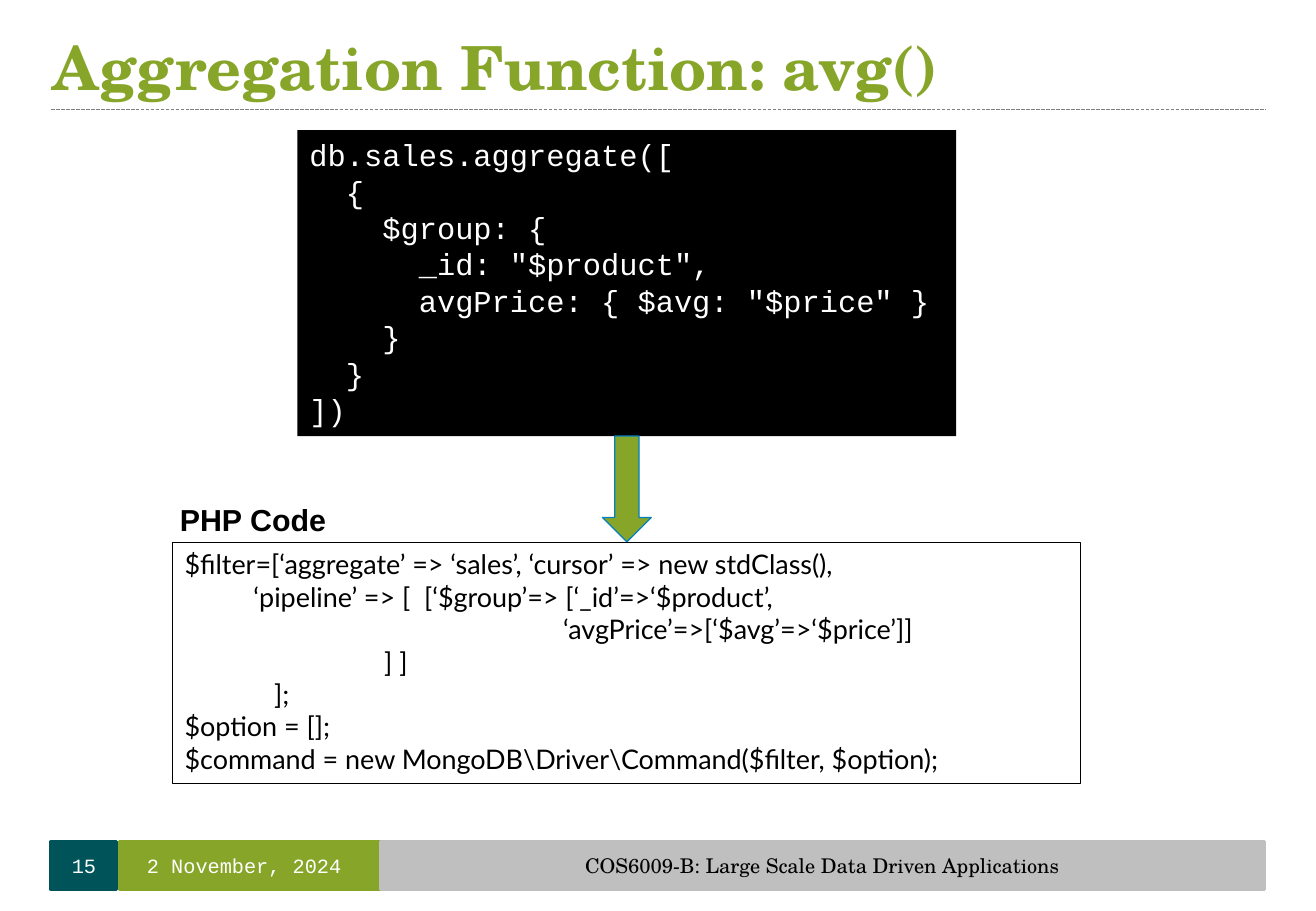
import pptx
import pptx.util
import pptx.dml.color
import pptx.enum.dml
import pptx.enum.shapes
import pptx.enum.text
import pptx.oxml

Cm, Pt = pptx.util.Cm, pptx.util.Pt
RGBColor = pptx.dml.color.RGBColor
MSO_SHAPE = pptx.enum.shapes.MSO_SHAPE
ANCHOR = pptx.enum.text.MSO_ANCHOR
ALIGN = pptx.enum.text.PP_ALIGN

BLACK = RGBColor(0x00, 0x00, 0x00)
WHITE = RGBColor(0xFF, 0xFF, 0xFF)
GREEN = RGBColor(0x87, 0xA5, 0x29)
TEAL = RGBColor(0x00, 0x53, 0x59)
SILVER = RGBColor(0xBF, 0xBF, 0xBF)
GREY = RGBColor(0x7F, 0x7F, 0x7F)
BLUE = RGBColor(0x00, 0x81, 0xBE)

SERIF, MONO, SANS, BODY = "TeX Gyre Schola", "Courier New", "Arial", "Lato"

TITLE = "Aggregation Function: avg()"
QUERY = """db.sales.aggregate([
  {
    $group: {
      _id: "$product",
      avgPrice: { $avg: "$price" }
    }
  }
])"""
PHP_LABEL = "PHP Code"
PHP_CODE = r"""$filter=[‘aggregate’ => ‘sales’, ‘cursor’ => new stdClass(),
          ‘pipeline’ => [  [‘$group’=> [‘_id’=>‘$product’,
                                                       ‘avgPrice’=>[‘$avg’=>‘$price’]]
                             ] ]
             ];
$option = [];
$command = new MongoDB\Driver\Command($filter, $option);"""
FOOTER = [
    ("15", 1.37, TEAL, MONO, WHITE, (0, 0)),
    ("2 November, 2024", 5.44, GREEN, MONO, WHITE, (0, 0.25)),
    ("COS6009-B: Large Scale Data Driven Applications", 18.49, SILVER, SERIF, BLACK, (0.3, 0.3)),
]

MARGIN = 1.07
FOOTER_TOP, FOOTER_HEIGHT = 17.6, 1
FOOTER_GAPS = (0.07, 0, 0)
QUERY_BOX = (6.22, 2.72, 13.77, 6.4)
PHP_BOX = (3.61, 11.33, 18.97, 5.05)
ARROW_WIDTH = 1.02

deck = pptx.Presentation()
deck.slide_width, deck.slide_height = Cm(27.51), Cm(19.05)
slide = deck.slides.add_slide(deck.slide_layouts[6])


def add_block(box, kind=MSO_SHAPE.RECTANGLE, fill=None, line=None, weight=1):
    block = slide.shapes.add_shape(kind, *map(Cm, box))
    block.shadow.inherit = False
    if fill is None:
        block.fill.background()
    else:
        block.fill.solid()
        block.fill.fore_color.rgb = fill
    if line is None:
        block.line.fill.background()
    else:
        block.line.color.rgb = line
        block.line.width = Pt(weight)
    return block


def write(text, *, host=None, box=None, font, size, color, bold=False,
          align=ALIGN.LEFT, anchor=ANCHOR.TOP, sides=(0.25, 0.25), ends=0.13):
    host = host or slide.shapes.add_textbox(*map(Cm, box))
    frame = host.text_frame
    frame.word_wrap = True
    frame.vertical_anchor = anchor
    frame.margin_left, frame.margin_right = map(Cm, sides)
    frame.margin_top = frame.margin_bottom = Cm(ends)
    frame.text = text
    for paragraph in frame.paragraphs:
        paragraph.alignment = align
        for run in paragraph.runs:
            run.font.name = font
            run.font.size = Pt(size)
            run.font.bold = bold
            run.font.color.rgb = color


left = MARGIN
for (text, width, fill, font, color, sides), gap in zip(FOOTER, FOOTER_GAPS):
    cell = add_block((left, FOOTER_TOP, width, FOOTER_HEIGHT), fill=fill, line=fill, weight=2)
    write(text, host=cell, font=font, size=12, color=color, align=ALIGN.CENTER,
          anchor=ANCHOR.MIDDLE, sides=sides, ends=0)
    left += width + gap

rule = slide.shapes.add_connector(
    pptx.enum.shapes.MSO_CONNECTOR.STRAIGHT, Cm(MARGIN), Cm(2.29), Cm(26.47), Cm(2.29))
rule.line.color.rgb = GREY
rule.line.width = Pt(0.75)
rule.line.dash_style = pptx.enum.dml.MSO_LINE.SQUARE_DOT
rule.element.spPr.append(pptx.oxml.parse_xml(
    '<a:effectLst xmlns:a="http://schemas.openxmlformats.org/drawingml/2006/main"/>'))

write(TITLE, box=(1.09, 0.33, 23.55, 2.13), font=SERIF, size=36, color=GREEN,
      bold=True, anchor=ANCHOR.MIDDLE, sides=(0, 0), ends=0)

write(QUERY, host=add_block(QUERY_BOX, fill=BLACK), font=MONO, size=18, color=WHITE)

query_left, query_top, query_width, query_height = QUERY_BOX
arrow_left = query_left + (query_width - ARROW_WIDTH) / 2
arrow_top = query_top + query_height
add_block((arrow_left, arrow_top, ARROW_WIDTH, PHP_BOX[1] - arrow_top),
          kind=MSO_SHAPE.DOWN_ARROW, fill=GREEN, line=BLUE, weight=0.75)

write(PHP_CODE, host=add_block(PHP_BOX, line=BLACK, weight=0.25),
      font=BODY, size=16, color=BLACK)
write(PHP_LABEL, box=(3.51, 10.36, 4.6, 1.02), font=SANS, size=18, color=BLACK, bold=True)

deck.save("out.pptx")
